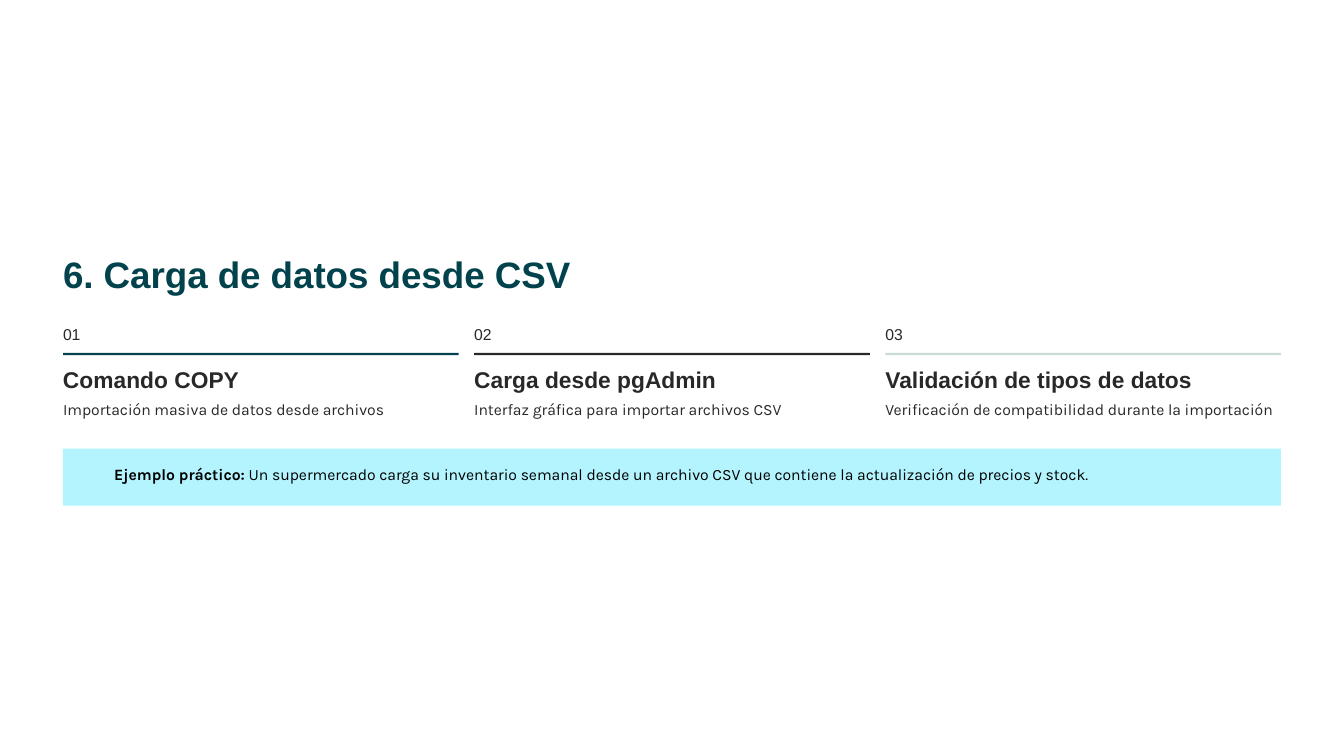
from pptx import Presentation
from pptx.dml.color import RGBColor
from pptx.enum.shapes import MSO_SHAPE
from pptx.enum.text import MSO_ANCHOR, MSO_AUTO_SIZE, PP_ALIGN
from pptx.util import Inches, Pt

TEAL, DARK, PALE, CYAN, BLACK = "01424C", "282828", "CADCD8", "B3F4FE", "000000"
LEFT, WIDE, COL = 0.75, 14.5, 4.71
STEP = (WIDE - COL) / 2
STYLES = {
    "title": {"name": "Arial", "size": Pt(31.5), "bold": True},
    "number": {"name": "Arial", "size": Pt(13.5), "bold": False},
    "heading": {"name": "Arial", "size": Pt(19.5), "bold": True},
    "body": {"name": "Karla", "size": Pt(13.5), "bold": False},
    "label": {"name": "Karla", "size": Pt(13.5), "bold": True},
}

prs = Presentation()
prs.slide_width, prs.slide_height = Inches(16), Inches(9)
slide = prs.slides.add_slide(prs.slide_layouts[5])


def write(box, runs, color, line):
    """Fill a text shape with (text, style) runs at a fixed line height in points."""
    frame = box.text_frame
    settings = {
        "margin_left": 0, "margin_top": 0, "margin_right": 0, "margin_bottom": 0,
        "word_wrap": False, "auto_size": MSO_AUTO_SIZE.NONE,
        "vertical_anchor": MSO_ANCHOR.TOP,
    }
    for key, value in settings.items():
        setattr(frame, key, value)
    para = frame.paragraphs[0]
    para.alignment, para.line_spacing = PP_ALIGN.LEFT, Pt(line)
    for text, style in runs:
        run = para.add_run()
        run.text = text
        for key, value in STYLES[style].items():
            setattr(run.font, key, value)
        run.font.color.rgb = RGBColor.from_string(color)


def block(kind, area, color):
    shape = slide.shapes.add_shape(kind, *map(Inches, area))
    shape.shadow.inherit = False
    shape.fill.solid()
    shape.fill.fore_color.rgb = RGBColor.from_string(color)
    shape.line.fill.background()
    return shape


title = slide.shapes.title
title.left, title.top, title.width, title.height = map(Inches, (LEFT, 2.97, 6.25, 0.55))
write(title, [("6. Carga de datos desde CSV", "title")], TEAL, 39.5)

topics = [
    ("Comando COPY", 2.76, "Importación masiva de datos desde archivos", TEAL),
    ("Carga desde pgAdmin", 2.89, "Interfaz gráfica para importar archivos CSV", DARK),
    ("Validación de tipos de datos", 3.66,
     "Verificación de compatibilidad durante la importación", PALE),
]
for i, (heading, width, detail, color) in enumerate(topics):
    x = LEFT + i * STEP
    block(MSO_SHAPE.RECTANGLE, (x, 4.2, COL, 0.03), color)
    rows = [
        (f"{i + 1:02}", "number", 3.9, 0.19, 0.23, 13.5),
        (heading, "heading", 4.34, width, 0.34, 24.5),
        (detail, "body", 4.8, COL, 0.19, 13.5),
    ]
    for text, style, y, w, h, line in rows:
        box = slide.shapes.add_textbox(*map(Inches, (x, y, w, h)))
        write(box, [(text, style)], DARK, line)

panel = block(MSO_SHAPE.ROUNDED_RECTANGLE, (LEFT, 5.34, WIDE, 0.68), CYAN)
panel.adjustments[0] = 0.015
example = slide.shapes.add_textbox(*map(Inches, (1.36, 5.57, 13.7, 0.19)))
write(example, [
    ("Ejemplo práctico:", "label"),
    (" Un supermercado carga su inventario semanal desde un archivo CSV"
     " que contiene la actualización de precios y stock.", "body"),
], BLACK, 13.5)

prs.save("out.pptx")
